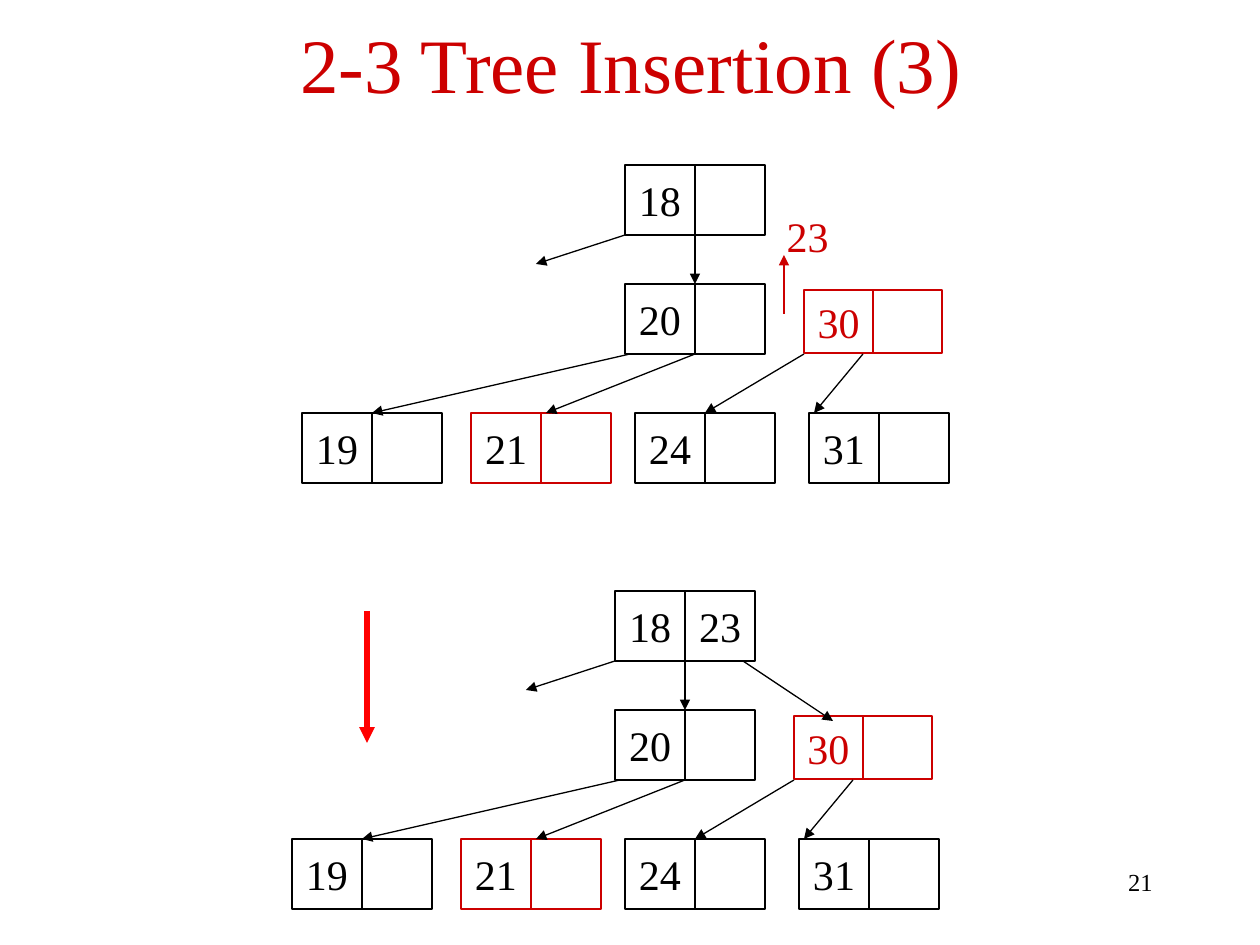
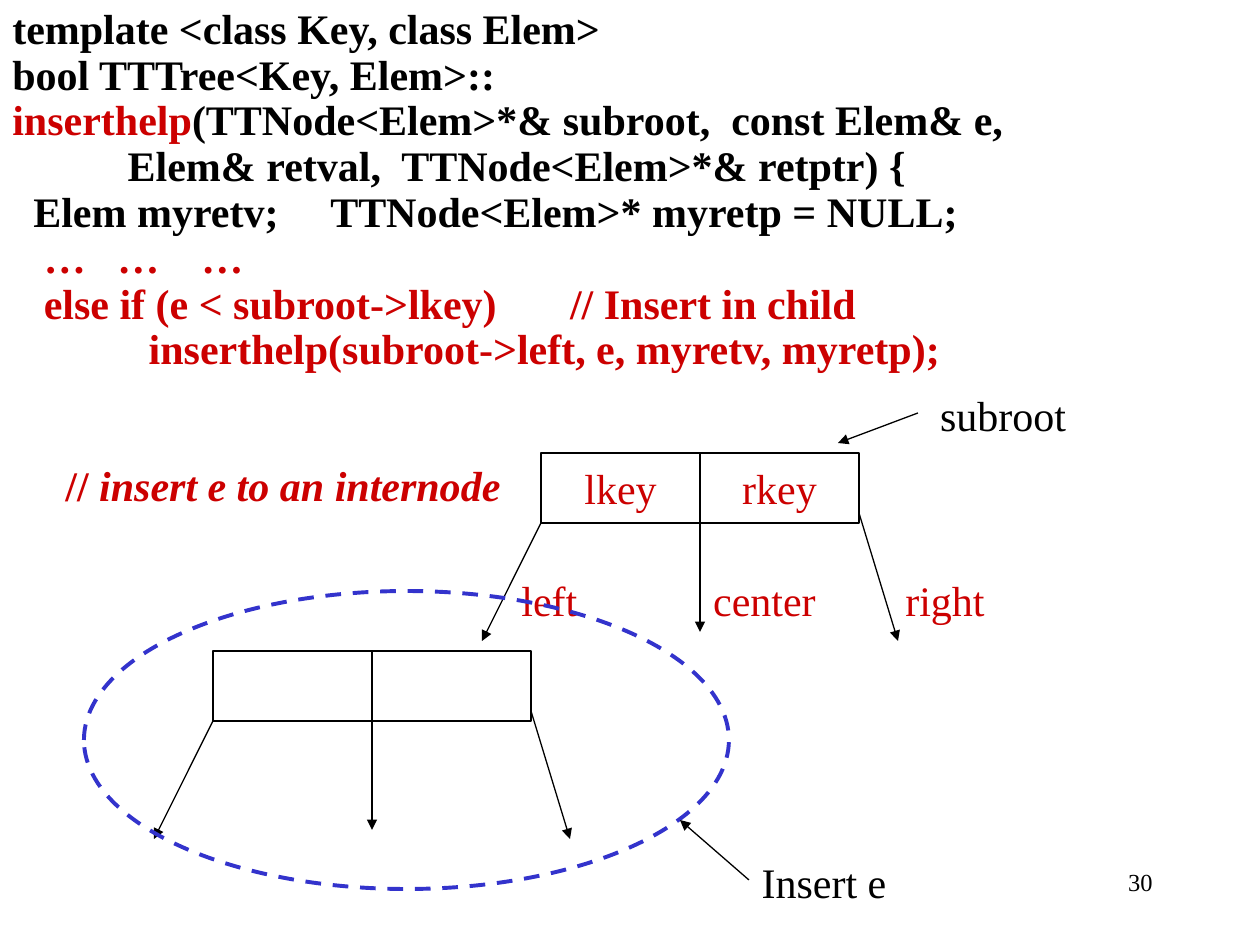
from typing import NamedTuple

from lxml import etree
from pptx import Presentation
from pptx.dml.color import RGBColor
from pptx.enum.dml import MSO_LINE
from pptx.enum.shapes import MSO_CONNECTOR, MSO_SHAPE
from pptx.enum.text import MSO_ANCHOR, PP_ALIGN
from pptx.oxml.ns import qn
from pptx.util import Emu, Pt

RECT, OVAL = MSO_SHAPE.RECTANGLE, MSO_SHAPE.OVAL
STRAIGHT, DASH = MSO_CONNECTOR.STRAIGHT, MSO_LINE.DASH
CENTER, RIGHT, LEFT = PP_ALIGN.CENTER, PP_ALIGN.RIGHT, PP_ALIGN.LEFT
MIDDLE, TOP = MSO_ANCHOR.MIDDLE, MSO_ANCHOR.TOP

FONT = "Times New Roman"
COLORS = {"black": "000000", "red": "CC0000", "bright": "FF0000", "blue": "3333CC"}
PX_PER_INCH = 126
WIDTH, HEIGHT = 1260, 945
CELL_H = 70


class Run(NamedTuple):
    text: str
    color: str = "black"
    bold: bool = False
    italic: bool = False


class Node(NamedTuple):
    """Two cells side by side, each holding a key or nothing."""
    x: int
    y: int
    keys: tuple[str, str]
    border: str = "black"
    ink: str = "black"
    cell_w: int = 70
    cell_h: int = CELL_H


class Arrow(NamedTuple):
    x1: int
    y1: int
    x2: int
    y2: int
    color: str = "black"
    weight: float = 0.75


class Label(NamedTuple):
    x: int
    y: int
    w: int
    runs: tuple[Run, ...]
    h: int = 63


def px(n: int) -> Emu:
    return Emu(round(n * 914400 / PX_PER_INCH))


def rgb(name: str) -> RGBColor:
    return RGBColor.from_string(COLORS[name])


# Text
def add_runs(p, runs, size: int = 24, align=CENTER) -> None:
    p.alignment = align
    for run in runs:
        r = p.add_run()
        r.text = run.text
        r.font.name, r.font.size = FONT, Pt(size)
        r.font.bold, r.font.italic = run.bold, run.italic
        r.font.color.rgb = rgb(run.color)


def add_label(slide, label: Label, size: int = 24, align=CENTER, wrap: bool = False) -> None:
    tf = slide.shapes.add_textbox(*map(px, (label.x, label.y, label.w, label.h))).text_frame
    tf.word_wrap = wrap
    add_runs(tf.paragraphs[0], label.runs, size, align)


def add_page_number(slide, number: str) -> None:
    add_label(slide, Label(903, 861, 262, (Run(number),)), 14, RIGHT, True)


# Shapes
def add_outline(slide, kind, x: int, y: int, w: int, h: int, color: str, weight: float = 0.75):
    sp = slide.shapes.add_shape(kind, px(x), px(y), px(w), px(h))
    sp.shadow.inherit = False
    sp.fill.background()
    sp.line.color.rgb = rgb(color)
    sp.line.width = Pt(weight)
    return sp


def add_node(slide, node: Node, dx: int = 0, dy: int = 0) -> None:
    for i, key in enumerate(node.keys):
        x = node.x + dx + i * node.cell_w
        sp = add_outline(slide, RECT, x, node.y + dy, node.cell_w, node.cell_h, node.border)
        if key:
            tf = sp.text_frame
            tf.word_wrap = False
            tf.vertical_anchor = MIDDLE
            add_runs(tf.paragraphs[0], [Run(key, node.ink)])


def add_arrow(slide, arrow: Arrow, dx: int = 0, dy: int = 0) -> None:
    ends = arrow.x1 + dx, arrow.y1 + dy, arrow.x2 + dx, arrow.y2 + dy
    c = slide.shapes.add_connector(STRAIGHT, *map(px, ends))
    c.line.color.rgb = rgb(arrow.color)
    c.line.width = Pt(arrow.weight)
    etree.SubElement(c.line._get_or_add_ln(), qn("a:tailEnd"), type="triangle")
    etree.SubElement(c._element.spPr, qn("a:effectLst"))


# Slide 1: the tree before and after key 23 moves up
LOWER_NODES = (
    Node(625, 284, ("20", "")),
    Node(804, 290, ("30", ""), "red", "red", 69, 63),
    Node(302, 413, ("19", "")),
    Node(471, 413, ("21", ""), "red"),
    Node(635, 413, ("24", "")),
    Node(809, 413, ("31", "")),
)
TREE_ARROWS = (
    Arrow(625, 235, 536, 264),
    Arrow(695, 235, 695, 284),
    Arrow(630, 354, 372, 413),
    Arrow(695, 354, 546, 413),
    Arrow(804, 354, 705, 413),
    Arrow(863, 354, 814, 413),
)


def add_tree(slide, root_keys: tuple[str, str], dx: int = 0, dy: int = 0) -> None:
    for node in (Node(625, 165, root_keys), *LOWER_NODES):
        add_node(slide, node, dx, dy)
    for arrow in TREE_ARROWS:
        add_arrow(slide, arrow, dx, dy)


def build_insertion(prs) -> None:
    slide = prs.slides.add_slide(prs.slide_layouts[5])
    title = slide.shapes.title
    title.left, title.top, title.width, title.height = map(px, (64, 0, 1134, 126))
    title.text_frame.vertical_anchor = MIDDLE
    add_runs(title.text_frame.paragraphs[0], [Run("2-3 Tree Insertion (3)", "red")], 44)
    add_page_number(slide, "21")

    add_tree(slide, ("18", ""))
    add_label(slide, Label(772, 204, 71, (Run("23", "red"),)))
    add_arrow(slide, Arrow(784, 314, 784, 255, "red"))

    add_tree(slide, ("18", "23"), -10, 426)
    add_arrow(slide, Arrow(743, 661, 833, 721))
    add_arrow(slide, Arrow(367, 611, 367, 743, "bright", 3))


# Slide 2: recursive insertion code and the nodes it visits
CODE = (
    (Run("template <class Key, class Elem>"),),
    (Run("bool TTTree<Key, Elem>::"),),
    (Run("inserthelp", "red"), Run("(TTNode<Elem>*& subroot,  const Elem& e,")),
    (Run("           Elem& retval,  TTNode<Elem>*& retptr) {"),),
    (Run("  Elem myretv;     TTNode<Elem>* myretp = NULL;"),),
    (Run("   …   …    …", "red"),),
    (Run("   else if (e < subroot->lkey)       // Insert in child", "red"),),
    (Run("             inserthelp(subroot->left, e, myretv, myretp);", "red"),),
)
CHILD_ARROWS = (
    Arrow(0, 70, -59, 188),
    Arrow(159, 70, 159, 179),
    Arrow(318, 60, 357, 188),
)
# Boxes are a little wider than their text, so that no label breaks
LABELS = (
    Label(504, 568, 91, (Run("left", "red"),)),
    Label(694, 568, 141, (Run("center", "red"),)),
    Label(887, 568, 116, (Run("right", "red"),)),
    Label(923, 383, 160, (Run("subroot"),)),
    Label(744, 850, 160, (Run("Insert e"),)),
    Label(48, 453, 470, (Run("//", "red", True),
                         Run(" insert e to an internode", "red", True, True))),
)


def add_code(slide) -> None:
    tf = slide.shapes.add_textbox(px(0), px(10), px(WIDTH), px(403)).text_frame
    tf.word_wrap = True
    tf.vertical_anchor = TOP
    for i, runs in enumerate(CODE):
        p = tf.add_paragraph() if i else tf.paragraphs[0]
        pPr = p._p.get_or_add_pPr()
        pPr.set("marL", str(px(48)))
        pPr.set("indent", str(-px(48)))
        p.line_spacing = 0.7
        if i:
            p.space_before = Pt(6)
        add_runs(p, [run._replace(bold=True) for run in runs], align=LEFT)


def build_code(prs) -> None:
    slide = prs.slides.add_slide(prs.slide_layouts[6])
    add_page_number(slide, "30")
    add_code(slide)
    for node in (Node(541, 453, ("lkey", "rkey"), ink="red", cell_w=159),
                 Node(213, 651, ("", ""), cell_w=159)):
        add_node(slide, node)
        for arrow in CHILD_ARROWS:
            add_arrow(slide, arrow, node.x, node.y)
    for label in LABELS:
        add_label(slide, label)
    add_arrow(slide, Arrow(918, 413, 838, 443))
    target = add_outline(slide, OVAL, 84, 591, 645, 298, "blue", 2.25)
    target.line.dash_style = DASH
    add_arrow(slide, Arrow(749, 880, 680, 820))


def main() -> None:
    prs = Presentation()
    prs.slide_width, prs.slide_height = px(WIDTH), px(HEIGHT)
    build_insertion(prs)
    build_code(prs)
    prs.save("out.pptx")


if __name__ == "__main__":
    main()
